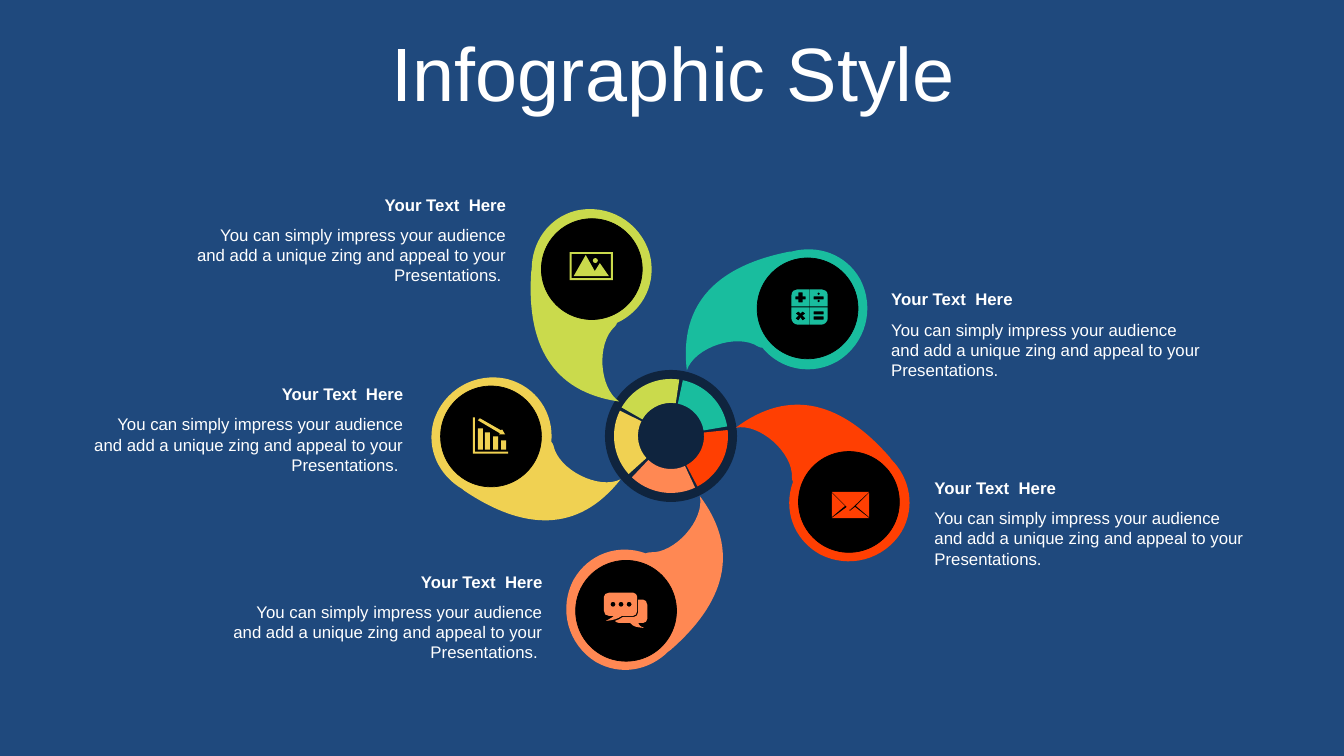
from lxml import etree
from pptx import Presentation
from pptx.dml.color import RGBColor
from pptx.enum.shapes import MSO_SHAPE
from pptx.enum.text import MSO_ANCHOR, MSO_AUTO_SIZE, PP_ALIGN
from pptx.oxml.ns import qn
from pptx.util import Inches, Pt

OVAL, ARC = MSO_SHAPE.OVAL, MSO_SHAPE.BLOCK_ARC
LEFT, RIGHT, CENTER = PP_ALIGN.LEFT, PP_ALIGN.RIGHT, PP_ALIGN.CENTER
TOP, MIDDLE = MSO_ANCHOR.TOP, MSO_ANCHOR.MIDDLE
GROW, FIXED = MSO_AUTO_SIZE.SHAPE_TO_FIT_TEXT, MSO_AUTO_SIZE.NONE

NAVY = RGBColor(0x1F, 0x49, 0x7D)
WHITE = RGBColor(0xFF, 0xFF, 0xFF)
BLACK = RGBColor(0, 0, 0)
LIME = RGBColor(0xCA, 0xDA, 0x4C)
GOLD = RGBColor(0xF0, 0xD1, 0x52)
CORAL = RGBColor(0xFF, 0x88, 0x53)
RED = RGBColor(0xFF, 0x3F, 0x02)
TEAL = RGBColor(0x19, 0xBD, 0x9E)

HEAD = "Your Text  Here"
BODY = ("You can simply impress your audience and add a unique zing "
        "and appeal to your Presentations.")

# Pairs are lines, sixes are curves; the disc centre is the origin.
PETAL = [
    (0, 0.6), (-0.33, 0.59, -0.59, 0.33, -0.6, 0),
    (-0.6, -0.29, -0.4, -0.53, -0.11, -0.58),
    (-0.11, -0.59, -0.09, -0.6, -0.08, -0.61),
    (0.14, -0.72, 0.23, -1.16, 0.07, -1.34),
    (0.7, -1.07, 0.81, -0.54, 0.58, 0.13), (0.57, 0.15),
    (0.5, 0.41, 0.28, 0.6, 0, 0.6),
]
# colour, arc turn, petal left, top and turn, disc left and top, text left, top and side
ARMS = [
    (LIME, 30, 5.27, 2.07, 165, 5.37, 2.17, 1.82, 1.88, RIGHT),
    (GOLD, 318, 4.58, 3.51, 105, 4.37, 3.83, 0.8, 3.76, RIGHT),
    (CORAL, 245, 5.79, 4.78, 30, 5.71, 5.56, 2.18, 5.62, RIGHT),
    (RED, 174, 7.48, 3.78, 300, 7.92, 4.48, 9.17, 4.69, LEFT),
    (TEAL, 102, 7.02, 2.24, 240, 7.51, 2.56, 8.74, 2.82, LEFT),
]


def trace(steps, parts=12):
    """Sample lines and cubic curves as points, to find their true extent."""
    points = []
    for step in steps:
        if len(step) == 2:
            points.append(step)
            continue
        nodes = [points[-1], step[:2], step[2:4], step[4:]]
        for i in range(1, parts + 1):
            t = i / parts
            mix = ((1 - t) ** 3, 3 * t * (1 - t) ** 2, 3 * t * t * (1 - t), t ** 3)
            points.append(tuple(sum(m * n[k] for m, n in zip(mix, nodes))
                                for k in (0, 1)))
    return points


def box(left, top, right, base):
    return [(left, top), (right, top), (right, base), (left, base)]


def dot(x, y, r):
    k = 0.55 * r
    return [(x, y - r),
            (x + k, y - r, x + r, y - k, x + r, y),
            (x + r, y + k, x + k, y + r, x, y + r),
            (x - k, y + r, x - r, y + k, x - r, y),
            (x - r, y - k, x - k, y - r, x, y - r)]


def paint(shape, color, turn=0):
    shape.shadow.inherit = False
    shape.fill.solid()
    shape.fill.fore_color.rgb = color
    shape.line.fill.background()
    shape.rotation = turn
    return shape


def bend(shape, loops):
    """Write the loops into the outline with real curves."""
    outline = next(shape.element.iter(qn("a:path")))
    for child in list(outline):
        outline.remove(child)
    for loop in loops:
        for i, step in enumerate(loop):
            name = "a:cubicBezTo" if len(step) == 6 else "a:lnTo" if i else "a:moveTo"
            node = etree.SubElement(outline, qn(name))
            for x, y in zip(step[::2], step[1::2]):
                etree.SubElement(node, qn("a:pt"), x=str(Inches(x) - shape.left),
                                 y=str(Inches(y) - shape.top))
        etree.SubElement(outline, qn("a:close"))


def add_form(slide, loops, color):
    """Draw closed loops as one outline; inner loops are holes."""
    rings = [[(Inches(x), Inches(y)) for x, y in trace(loop)] for loop in loops]
    form = slide.shapes.build_freeform(*rings[0][0], scale=1.0)
    for i, ring in enumerate(rings):
        if i:
            form.move_to(*ring[0])
        form.add_line_segments(ring[1:], close=True)
    shape = form.convert_to_shape()
    bend(shape, loops)
    return paint(shape, color)


def add_preset(slide, kind, left, top, size, color, turn=0):
    shape = slide.shapes.add_shape(kind, Inches(left), Inches(top),
                                   Inches(size), Inches(size))
    return paint(shape, color, turn)


def add_text(slide, text, left, top, width, height, size=12, bold=False,
             align=LEFT, anchor=TOP, fit=GROW, spacing=None):
    area = slide.shapes.add_textbox(Inches(left), Inches(top),
                                    Inches(width), Inches(height))
    frame = area.text_frame
    frame.word_wrap = True
    frame.auto_size = fit
    frame.vertical_anchor = anchor
    para = frame.paragraphs[0]
    para.text = text
    para.alignment = align
    para.line_spacing = spacing
    font = para.runs[0].font
    font.name, font.size, font.bold = "Arial", Pt(size), bold
    font.color.rgb = WHITE


def add_hub(slide):
    hub = add_preset(slide, OVAL, 6, 3.67, 1.31, BLACK)
    tint = next(hub.element.spPr.iter(qn("a:srgbClr")))
    etree.SubElement(tint, qn("a:alpha"), val="50000")
    for color, turn, *_ in ARMS:
        arc = add_preset(slide, ARC, 6.09, 3.76, 1.13, color, turn)
        for i, value in enumerate((108, 149.02, 0.21)):
            arc.adjustments[i] = value


def add_petal(slide, color, left, top, turn):
    petal = add_form(slide, [PETAL], color)
    petal.left, petal.top = Inches(left), Inches(top)
    petal.rotation = turn


def add_disc(slide, left, top):
    disc = add_preset(slide, OVAL, left, top, 1, BLACK)
    disc.line.color.rgb = BLACK
    disc.line.width = Pt(0.5)


def add_label(slide, left, top, side):
    tail = " " if side == RIGHT else ""
    add_text(slide, HEAD, left, top, 3.3, 0.3, bold=True, align=side)
    add_text(slide, BODY + tail, left, top + 0.3, 3.3, 0.71, align=side)


def add_mail(slide):
    add_form(slide, [
        [(8.48, 5.03), (8.62, 5.14), (8.25, 5.14), (8.4, 5.03), (8.43, 5.07)],
        [(8.62, 4.89), (8.62, 5.13), (8.49, 5.02)],
        [(8.25, 4.89), (8.38, 5.02), (8.25, 5.13)],
        [(8.25, 4.88), (8.62, 4.88), (8.43, 5.06)],
    ], RED)


def add_bars(slide):
    bars = [box(x, y, x + 0.05, 4.46) for x, y in
            ((4.74, 4.25), (4.81, 4.29), (4.89, 4.33), (4.97, 4.37))]
    arrow = [(4.76, 4.15), (4.97, 4.27), (4.98, 4.26), (5.01, 4.31),
             (4.95, 4.31), (4.96, 4.3), (4.74, 4.17)]
    axes = [(4.69, 4.14), (4.71, 4.14), (4.71, 4.48), (5.04, 4.48),
            (5.04, 4.5), (4.69, 4.5)]
    add_form(slide, bars + [arrow, axes], GOLD)


def add_keys(slide):
    panes = [
        [(7.91, 2.87), (8.03, 2.87), (8.03, 3.04), (7.85, 3.04), (7.85, 2.93),
         (7.85, 2.89, 7.88, 2.87, 7.91, 2.87)],
        [(8.035, 2.87), (8.15, 2.87), (8.18, 2.87, 8.21, 2.89, 8.21, 2.93),
         (8.21, 3.04), (8.035, 3.04)],
        [(7.85, 3.05), (8.03, 3.05), (8.03, 3.22), (7.91, 3.22),
         (7.88, 3.22, 7.85, 3.19, 7.85, 3.16)],
        [(8.035, 3.05), (8.21, 3.05), (8.21, 3.16),
         (8.21, 3.19, 8.18, 3.22, 8.15, 3.22), (8.035, 3.22)],
    ]
    plus = [(7.92, 2.9), (7.92, 2.94), (7.89, 2.94), (7.89, 2.97),
            (7.92, 2.97), (7.92, 3), (7.96, 3), (7.96, 2.97),
            (7.99, 2.97), (7.99, 2.94), (7.96, 2.94), (7.96, 2.9)]
    times = [(7.92, 3.09), (7.89, 3.11), (7.92, 3.13), (7.89, 3.16),
             (7.92, 3.18), (7.94, 3.15), (7.96, 3.18), (7.99, 3.16),
             (7.96, 3.13), (7.99, 3.11), (7.96, 3.09), (7.94, 3.11)]
    rules = [box(8.07, y, 8.17, y + 0.03) for y in (2.94, 3.09, 3.14)]
    dots = [dot(8.12, y, 0.015) for y in (2.915, 2.985)]
    add_form(slide, panes + [plus, times] + rules + dots, TEAL)


def add_chat(slide):
    back = [(6.33, 5.95), (6.38, 5.95), (6.4, 5.95, 6.42, 5.97, 6.42, 6),
            (6.42, 6.14), (6.42, 6.16, 6.4, 6.18, 6.38, 6.18), (6.33, 6.18),
            (6.34, 6.2, 6.34, 6.21, 6.39, 6.23),
            (6.3, 6.22, 6.29, 6.22, 6.25, 6.18), (6.14, 6.18),
            (6.12, 6.18, 6.11, 6.17, 6.1, 6.16),
            (6.13, 6.15, 6.15, 6.14, 6.18, 6.12), (6.29, 6.12),
            (6.31, 6.12, 6.33, 6.1, 6.33, 6.07)]
    front = [(6.04, 5.88), (6.28, 5.88), (6.3, 5.88, 6.32, 5.9, 6.32, 5.92),
             (6.32, 6.06), (6.32, 6.09, 6.3, 6.11, 6.28, 6.11), (6.17, 6.11),
             (6.12, 6.14, 6.1, 6.15, 6.01, 6.16),
             (6.06, 6.13, 6.07, 6.13, 6.09, 6.11), (6.04, 6.11),
             (6.01, 6.11, 5.99, 6.09, 5.99, 6.06), (5.99, 5.92),
             (5.99, 5.9, 6.01, 5.88, 6.04, 5.88)]
    dots = [dot(6.08 + 0.08 * i, 5.995, 0.025) for i in range(3)]
    add_form(slide, [back, front] + dots, CORAL)


def add_photo(slide):
    peaks = [(5.81, 2.53), (5.9, 2.69), (5.95, 2.61), (6.04, 2.74), (5.69, 2.74)]
    add_form(slide, [box(5.65, 2.5, 6.08, 2.78), box(5.67, 2.52, 6.06, 2.76),
                     peaks, dot(5.905, 2.585, 0.025)], LIME)


def main():
    deck = Presentation()
    deck.slide_width, deck.slide_height = Inches(13.33), Inches(7.5)
    slide = deck.slides.add_slide(deck.slide_layouts[6])
    slide.background.fill.solid()
    slide.background.fill.fore_color.rgb = NAVY
    add_text(slide, "Infographic Style", 0.35, 0.37, 12.66, 0.79, size=54,
             align=CENTER, anchor=MIDDLE, fit=FIXED, spacing=0.9)
    add_hub(slide)
    for color, _, left, top, turn, x, y, *label in ARMS:
        add_petal(slide, color, left, top, turn)
        add_disc(slide, x, y)
        add_label(slide, *label)
    for icon in (add_mail, add_bars, add_keys, add_chat, add_photo):
        icon(slide)
    deck.save("out.pptx")


if __name__ == "__main__":
    main()
